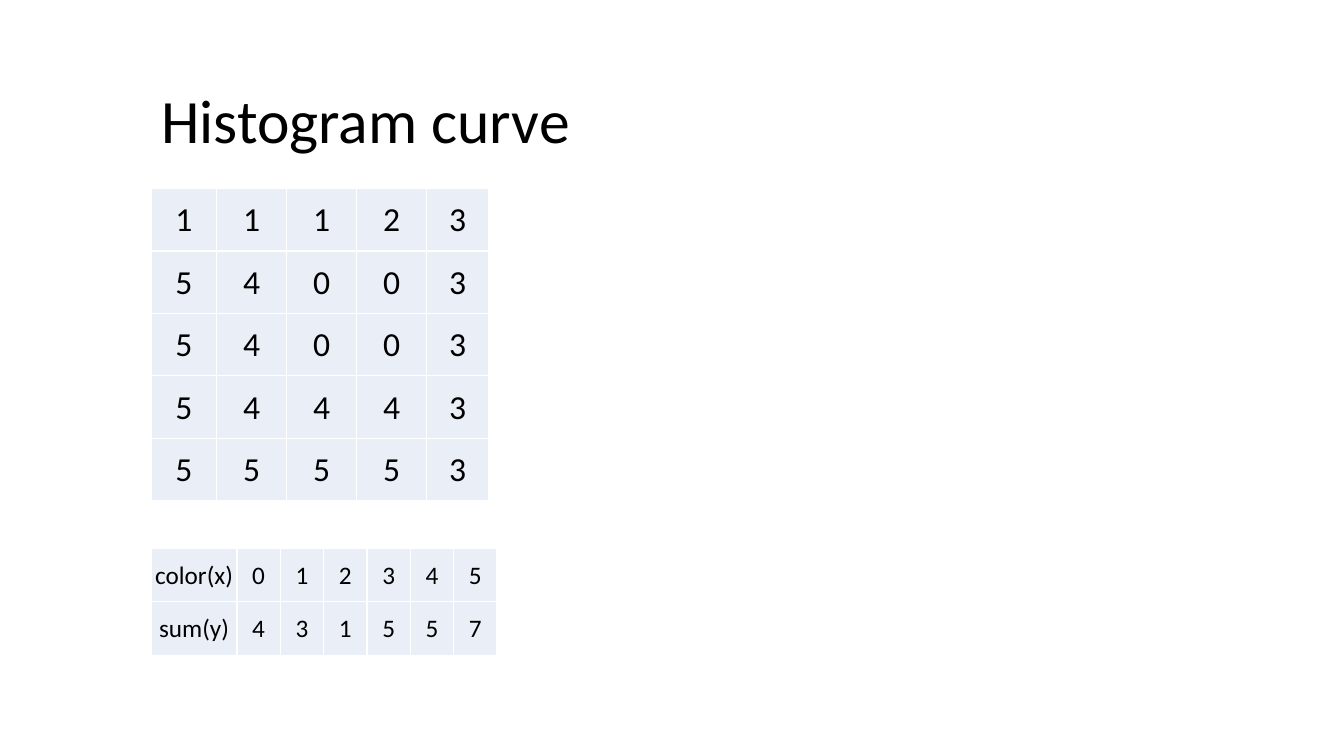
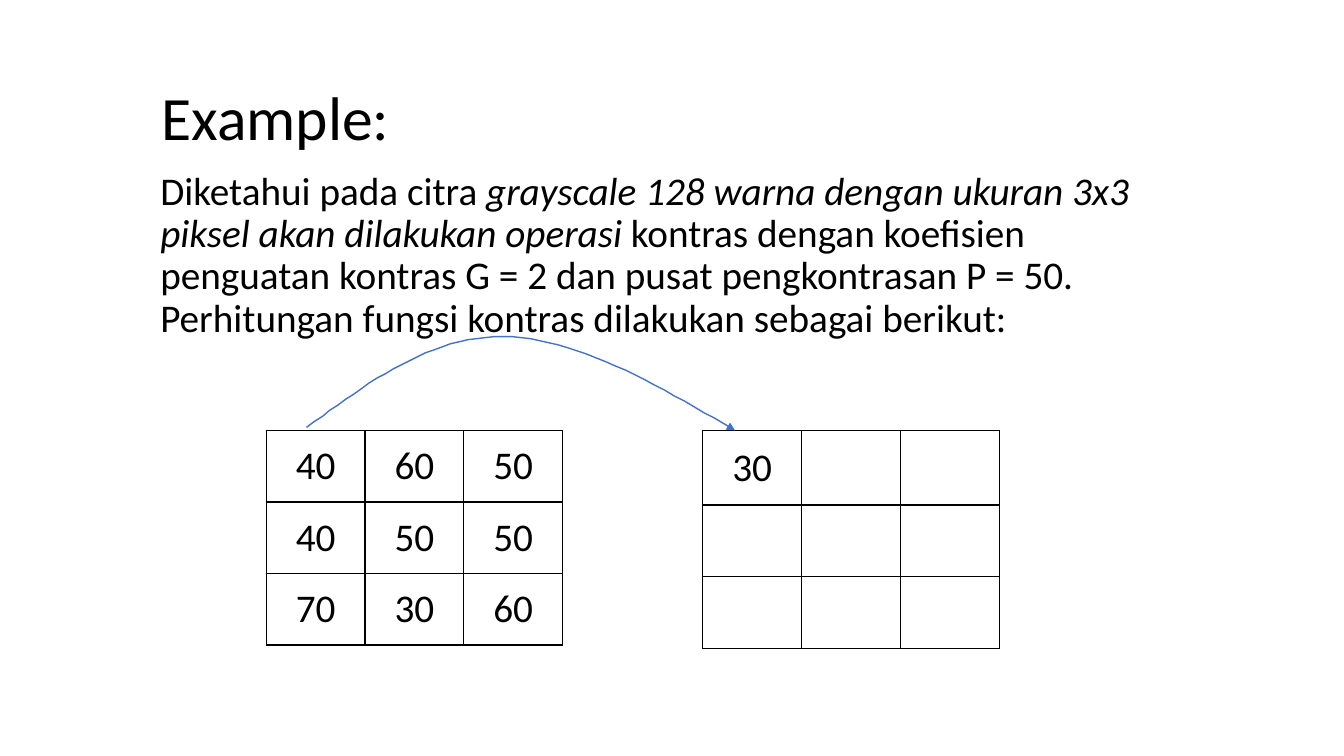
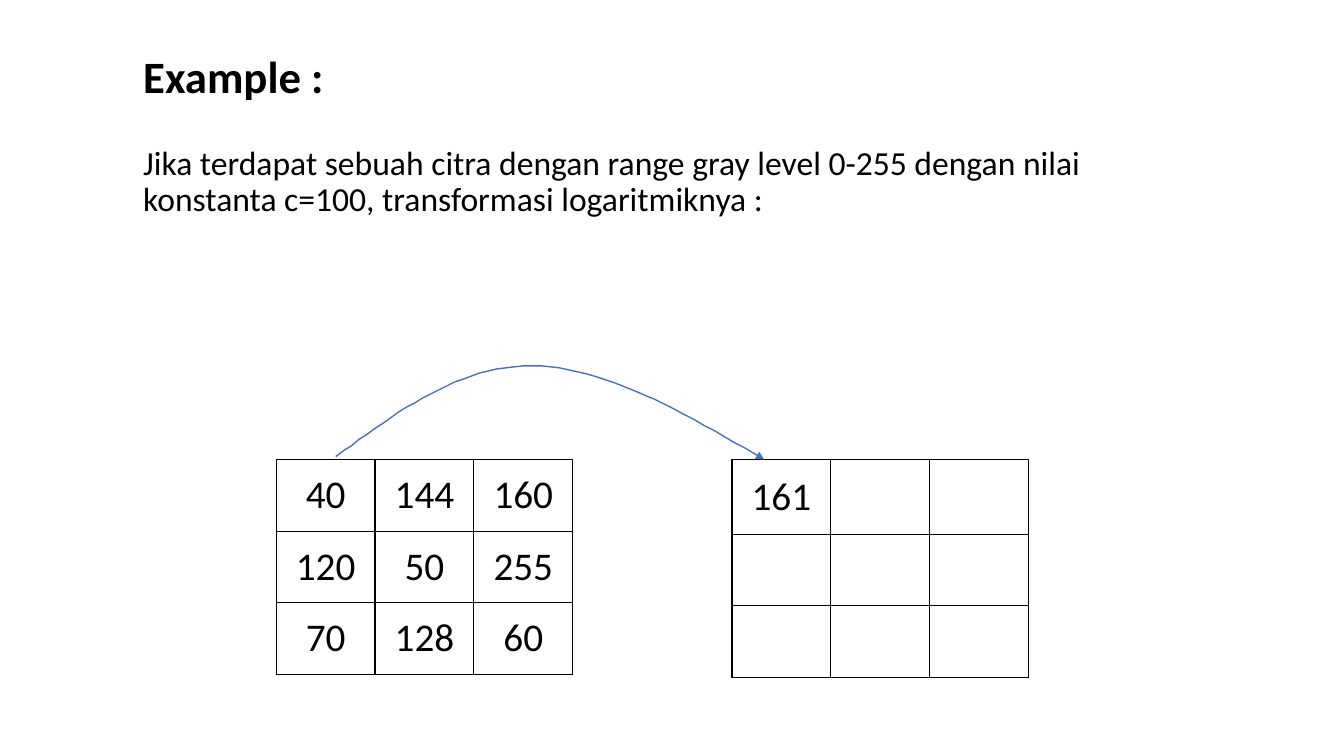
from lxml import etree
from pptx import Presentation
from pptx import util as u
from pptx.dml.color import RGBColor
from pptx.enum import text
from pptx.oxml.ns import qn

PX = 9144  # EMU per px, 100 px to the inch
FONT = "Calibri"
BLACK, WHITE, PALE, BLUE = "000000", "FFFFFF", "EAEFF7", "4472C4"
TITLE_ONLY, TITLE_AND_BODY = 5, 1

# Content: lengths in px, text sizes in points
TIGHT = dict(fill=PALE, border=WHITE, margins=(1, 1, 1, 0))
GRID = dict(size=28, border=BLACK, columns=[98] * 3)
EMPTY = [""] * 3

SLIDES = [
    dict(
        title=dict(text="Histogram curve", at=(150, 75, 1050, 96)),
        tables=[
            dict(TIGHT, at=(150, 187), size=24, columns=[65, 69, 70, 69, 62], heights=[62] * 5,
                 rows=["11123", "54003", "54003", "54443", "55553"]),
            dict(TIGHT, at=(150, 544), size=18, columns=[85] + [43] * 6, heights=[53] * 2,
                 rows=[["color(x)", *"012345"], ["sum(y)", *"431557"]]),
        ],
    ),
    dict(
        title=dict(text="Example:", at=(150, 75, 1050, 90)),
        body=dict(at=(149, 165, 1050, 392), size=28, spans=[
            ("Diketahui pada citra ", False),
            ("grayscale 128 warna dengan ukuran 3x3 piksel akan dilakukan operasi ", True),
            ("kontras dengan koefisien penguatan kontras G = 2 dan pusat pengkontrasan P = 50. "
             "Perhitungan fungsi kontras dilakukan sebagai berikut:", False),
        ]),
        tables=[
            dict(GRID, at=(264, 427), heights=[71] * 3,
                 rows=[["40", "60", "50"], ["40", "50", "50"], ["70", "30", "60"]]),
            dict(GRID, at=(697, 427), heights=[74, 71, 71], rows=[["30", "", ""], EMPTY, EMPTY]),
        ],
        arrow=(304, 424),
    ),
    dict(
        title=dict(text="Example :", at=(132, 43, 204, 64), size=32, bold=True, spacing=1.0),
        body=dict(at=(132, 140, 1050, 94), size=24, spans=[
            ("Jika terdapat sebuah citra dengan range gray level 0-255 dengan nilai "
             "konstanta c=100, transformasi logaritmiknya :", False),
        ]),
        tables=[
            dict(GRID, at=(274, 456), heights=[71] * 3,
                 rows=[["40", "144", "160"], ["120", "50", "255"], ["70", "128", "60"]]),
            dict(GRID, at=(726, 456), heights=[74, 71, 71], rows=[["161", "", ""], EMPTY, EMPTY]),
        ],
        arrow=(333, 453),
    ),
]

# Cubic segments of the curved arrow, relative to its start
ARC = [
    [(0, 0), (62, -45), (124, -91), (195, -90)],
    [(195, -90), (265, -90), (345, -44), (425, 3)],
]
ARC_STEPS = 24


def color(value):
    return RGBColor.from_string(value)


def style(para, size, bold=False):
    font = para.font
    font.name, font.size, font.bold = FONT, u.Pt(size), bold
    font.color.rgb = color(BLACK)


def place(shape, at):
    shape.left, shape.top, shape.width, shape.height = (n * PX for n in at)


def set_paragraph(box, at, size, spans, anchor, bold=False, spacing=0.9):
    """Move a placeholder and fill it with one left-aligned paragraph."""
    place(box, at)
    frame = box.text_frame
    frame.word_wrap = True
    frame.auto_size = text.MSO_AUTO_SIZE.NONE
    frame.vertical_anchor = anchor
    para = frame.paragraphs[0]
    para.alignment = text.PP_ALIGN.LEFT
    para.line_spacing = spacing
    para.space_before = u.Pt(0)
    properties = para._p.get_or_add_pPr()
    properties.set("marL", "0")
    properties.set("indent", "0")
    etree.SubElement(properties, qn("a:buNone"))
    style(para, size, bold)
    for words, italic in spans:
        span = para.add_run()
        span.text = words
        if italic:
            span.font.italic = True


def add_title(page, at, size=44, bold=False, spacing=0.9, **content):
    set_paragraph(page.shapes.title, at, size, [(content["text"], False)],
                  text.MSO_ANCHOR.MIDDLE, bold, spacing)


def add_borders(cell, border):
    properties = cell._tc.get_or_add_tcPr()
    for side in ("lnL", "lnR", "lnT", "lnB"):
        line = etree.SubElement(properties, qn("a:" + side), w=str(u.Pt(1)))
        fill = etree.SubElement(line, qn("a:solidFill"))
        etree.SubElement(fill, qn("a:srgbClr"), val=border)


def add_grid(page, at, size, columns, heights, rows, border, fill=None, margins=(10, 5, 10, 5)):
    extent = (*at, sum(columns), sum(heights))
    table = page.shapes.add_table(len(rows), len(columns), *(n * PX for n in extent)).table
    table.first_row = table.horz_banding = False
    for column, width in zip(table.columns, columns):
        column.width = width * PX
    for row, height, values in zip(table.rows, heights, rows):
        row.height = height * PX
        for cell, value in zip(row.cells, values):
            add_borders(cell, border)
            if fill:
                cell.fill.solid()
                cell.fill.fore_color.rgb = color(fill)
            else:
                cell.fill.background()
            cell.margin_left, cell.margin_top, cell.margin_right, cell.margin_bottom = (
                n * PX for n in margins)
            cell.vertical_anchor = text.MSO_ANCHOR.MIDDLE
            if value:
                cell.text = value
                para = cell.text_frame.paragraphs[0]
                para.alignment = text.PP_ALIGN.CENTER
                style(para, size)


def bezier(points, t):
    weights = ((1 - t) ** 3, 3 * t * (1 - t) ** 2, 3 * t ** 2 * (1 - t), t ** 3)
    return [sum(w * n for w, n in zip(weights, axis)) for axis in zip(*points)]


def add_arrow(page, start):
    left, top = start
    curve = [bezier(segment, step / ARC_STEPS)
             for segment in ARC for step in range(1, ARC_STEPS + 1)]
    builder = page.shapes.build_freeform(left, top, scale=PX)
    builder.add_line_segments([(left + x, top + y) for x, y in curve], close=False)
    arrow = builder.convert_to_shape()
    arrow.shadow.inherit = False
    arrow.fill.background()
    arrow.line.color.rgb = color(BLUE)
    arrow.line.width = u.Pt(1)
    etree.SubElement(arrow.line._get_or_add_ln(), qn("a:tailEnd"), type="triangle")


def main():
    deck = Presentation()
    deck.slide_width, deck.slide_height = 1333 * PX, 750 * PX
    for content in SLIDES:
        body = content.get("body")
        layout = TITLE_AND_BODY if body else TITLE_ONLY
        page = deck.slides.add_slide(deck.slide_layouts[layout])
        add_title(page, **content["title"])
        if body:
            set_paragraph(page.placeholders[1], anchor=text.MSO_ANCHOR.TOP, **body)
        for table in content["tables"]:
            add_grid(page, **table)
        if "arrow" in content:
            add_arrow(page, content["arrow"])
    deck.save("out.pptx")


if __name__ == "__main__":
    main()
